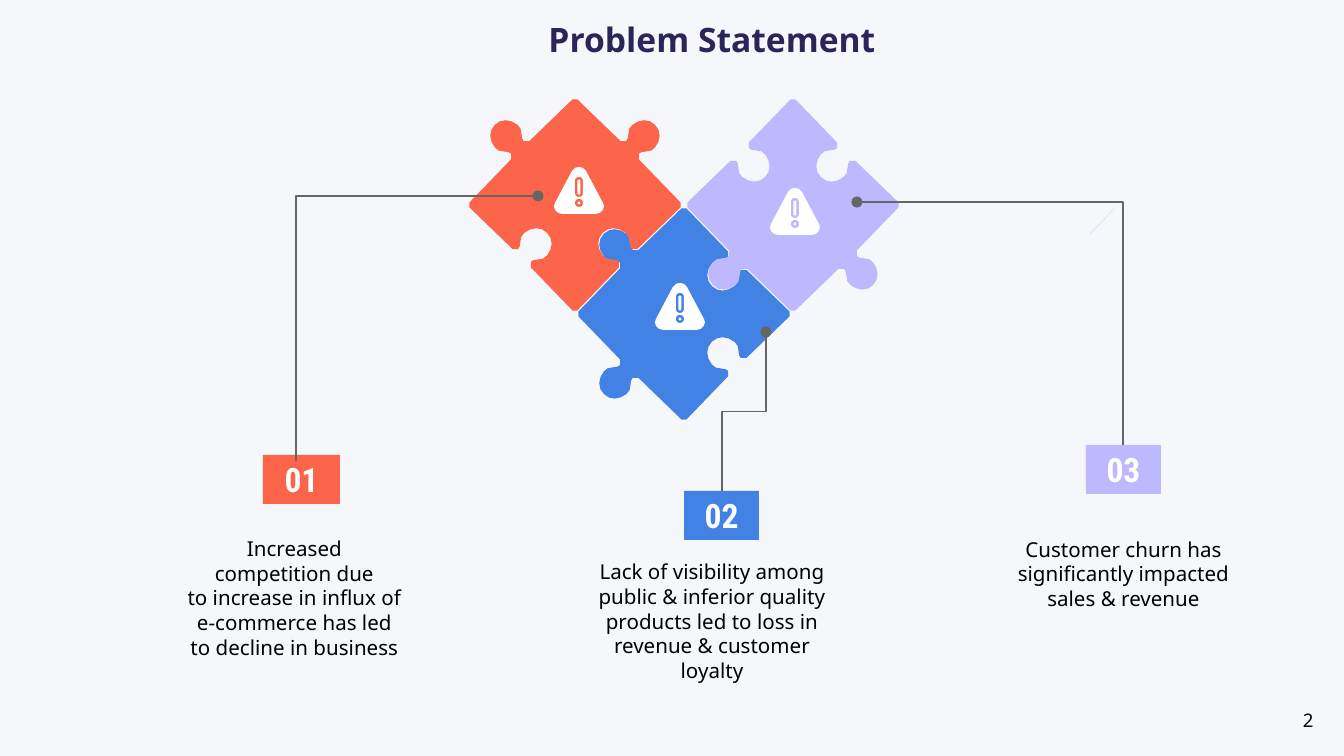
from math import cos, pi, sin, sqrt

from lxml.etree import SubElement
from pptx import Presentation
from pptx.dml.color import RGBColor
from pptx.enum.shapes import MSO_CONNECTOR, MSO_SHAPE
from pptx.enum.text import MSO_ANCHOR, PP_ALIGN
from pptx.oxml.ns import qn
from pptx.util import Emu, Pt

PX = 914400 / 134.4
COLORS = {
    "background": "F5F7FA", "title": "2A265A", "text": "000000",
    "white": "FFFFFF", "line": "666666", "stroke": "E3E6EA",
    "orange": "FD654B", "blue": "4182E4", "purple": "BEB9FE",
}


def px(*lengths):
    return [Emu(round(length * PX)) for length in lengths]


def write_text(shape, text, size=11, font="Noto Sans", color="text", bold=False,
               align=PP_ALIGN.CENTER, anchor=MSO_ANCHOR.MIDDLE, inset=13):
    frame = shape.text_frame
    frame.word_wrap = True
    frame.vertical_anchor = anchor
    (frame.margin_left, frame.margin_top,
     frame.margin_right, frame.margin_bottom) = px(*[inset] * 4)
    frame.text = text
    for paragraph in frame.paragraphs:
        paragraph.alignment = align
        paragraph.font.size = Pt(size)
        paragraph.font.name = font
        paragraph.font.bold = bold
        paragraph.font.color.rgb = RGBColor.from_string(COLORS[color])


prs = Presentation()
prs.slide_width, prs.slide_height = px(1344, 756)
slide = prs.slides.add_slide(prs.slide_layouts[5])
slide.background.fill.solid()
slide.background.fill.fore_color.rgb = RGBColor.from_string(COLORS["background"])

# Title
title = slide.shapes.title
title.left, title.top, title.width, title.height = px(327, 5, 770, 69)
write_text(title, "Problem Statement", size=18, color="title", bold=True)

# Half a puzzle knob (along the edge, outwards) and half a warning triangle:
# number of steps and control points of each curve
half_curves = {
    "knob": [(1, [(-13, 1), (-11, 1), (-9, 3), (-9, 5)]),
             (2, [(-9, 5), (-9, 7), (-10, 9), (-12, 11)]),
             (2, [(-12, 11), (-16, 15), (-16, 17), (-16, 21)]),
             (4, [(-16, 21), (-15, 30), (-9, 37), (0, 37)])],
    "triangle": [(2, [(0, 0), (-3, 0), (-5, 1), (-7, 4)]),
                 (4, [(-24, 36), (-27, 40), (-23, 47), (-17, 47)])],
}
profiles = {}
for part, curves in half_curves.items():
    half = []
    for steps, curve in curves:
        for step in range(steps + 1):
            t = step / steps
            weights = [(1 - t) ** 3, 3 * t * (1 - t) ** 2, 3 * t * t * (1 - t), t ** 3]
            point = tuple(sum(w * control[axis] for w, control in zip(weights, curve))
                          for axis in (0, 1))
            if point not in half:
                half.append(point)
    mirrored = [(-x, y) for x, y in reversed(half) if x]
    profiles[part] = half + mirrored

# Parts of the exclamation mark: corners, radius, upper and lower centre
mark = {}
for part, corners, radius, upper, lower in [
        ("slot", 12, 4.2, 14, 26), ("bar", 8, 1.6, 14, 26),
        ("ring", 12, 4.2, 36, 36), ("dot", 8, 1.5, 36, 36)]:
    angles = [(k + 0.5) * 2 * pi / corners for k in range(corners)]
    mark[part] = [(radius * cos(a), (lower if a < pi else upper) + radius * sin(a))
                  for a in angles]

# Puzzle pieces: colour, centre, icon apex, edges clockwise from upper left
# (1 is a knob, -1 a socket)
HALF_EDGE = 108 / sqrt(2)
pieces = [
    ("blue", (684, 314), (680, 283), (1, -1, -1, 1)),
    ("orange", (575, 205), (579, 167), (1, 1, -1, -1)),
    ("purple", (793, 205), (795, 188), (-1, -1, 1, 1)),
]
for color, center, apex, edges in pieces:
    piece = []
    for side, sign in enumerate(edges):
        angle = -pi / 4 + side * pi / 2
        edge = [(-73, 0), *[(x, sign * y) for x, y in profiles["knob"]], (73, 0)]
        piece += [(x * cos(angle) + (HALF_EDGE + y) * sin(angle),
                   x * sin(angle) - (HALF_EDGE + y) * cos(angle)) for x, y in edge]
    outlines = [
        (color, center, [piece]),
        ("white", apex, [profiles["triangle"], mark["slot"], mark["ring"]]),
        ("white", apex, [mark["bar"]]),
        ("white", apex, [mark["dot"]]),
    ]
    for fill, (left, top), contours in outlines:
        rings = [[px(left + x, top + y) for x, y in contour] for contour in contours]
        builder = slide.shapes.build_freeform(*rings[0][0])
        builder.add_line_segments(rings[0][1:])
        for ring in rings[1:]:
            builder.move_to(*ring[0])
            builder.add_line_segments(ring[1:])
        outline = builder.convert_to_shape()
        outline.shadow.inherit = False
        outline.fill.solid()
        outline.fill.fore_color.rgb = RGBColor.from_string(COLORS[fill])
        outline.line.fill.background()

# Numbered tags
for number, color, box in [("01", "orange", (263, 455, 77, 49)),
                           ("02", "blue", (684, 491, 75, 49)),
                           ("03", "purple", (1086, 445, 75, 49))]:
    tag = slide.shapes.add_shape(MSO_SHAPE.RECTANGLE, *px(*box))
    tag.shadow.inherit = False
    tag.fill.solid()
    tag.fill.fore_color.rgb = RGBColor.from_string(COLORS[color])
    tag.line.fill.background()
    write_text(tag, number, size=18, font="Roboto Condensed", color="white", bold=True)

# Leader lines from tag to piece; a quarter turn makes them leave the tag upwards
for preset, (x1, y1), (x2, y2) in [("bentConnector2", (296, 461), (538, 196)),
                                   ("bentConnector3", (722, 491), (766, 332)),
                                   ("bentConnector2", (1123, 445), (857, 202)),
                                   ("line", (1115, 208), (1090, 234))]:
    bent = preset != "line"
    if bent:
        mid_x, mid_y = (x1 + x2) / 2, (y1 + y2) / 2
        dx, dy = (x1 - x2) / 2, (y1 - y2) / 2
        x1, y1, x2, y2 = mid_x + dy, mid_y - dx, mid_x - dy, mid_y + dx
    kind = MSO_CONNECTOR.ELBOW if bent else MSO_CONNECTOR.STRAIGHT
    leader = slide.shapes.add_connector(kind, *px(x1, y1, x2, y2))
    leader.line.width = Pt(0.75 if bent else 0.5)
    leader.line.color.rgb = RGBColor.from_string(COLORS["line" if bent else "stroke"])
    properties = leader._element.spPr
    if bent:
        properties.find(qn("a:xfrm")).set("rot", "5400000")
        properties.find(qn("a:prstGeom")).set("prst", preset)
        SubElement(properties.find(qn("a:ln")), qn("a:tailEnd"), type="oval")
    SubElement(properties, qn("a:effectLst"))

# Captions
captions = [
    ((173, 558, 243, 79), "Increased competition due\nto increase in influx of\n"
                          "e-commerce has led to decline in business"),
    ((577, 574, 270, 94), "Lack of visibility among public & inferior quality "
                          "products led to loss in revenue & customer loyalty"),
    ((993, 534, 261, 79), "Customer churn has significantly impacted sales & revenue"),
]
for box, text in captions:
    write_text(slide.shapes.add_textbox(*px(*box)), text)

# Slide number
page_number = slide.shapes.add_textbox(*px(1293, 699, 75, 36))
write_text(page_number, "2", size=10, align=PP_ALIGN.LEFT, anchor=MSO_ANCHOR.TOP, inset=10)

prs.save("out.pptx")
